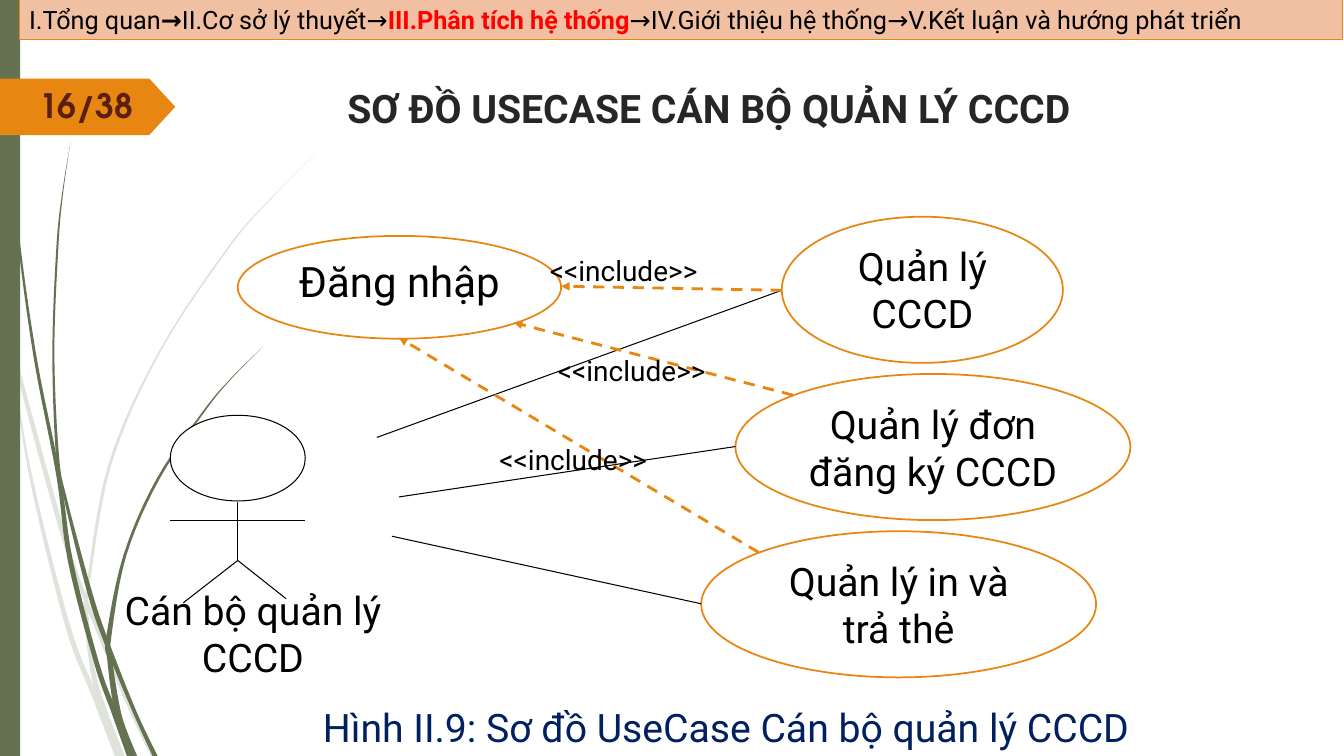
from lxml import etree
from pptx import Presentation
from pptx import util as u
from pptx.dml.color import RGBColor
from pptx.enum import dml, shapes, text
from pptx.oxml.ns import qn

BLACK, ORANGE, GREEN, PALE, WHITE = "000000", "E78712", "647252", "E0E3DC", "FFFFFF"
CENTER, LEFT = text.PP_ALIGN.CENTER, text.PP_ALIGN.LEFT
TOP, MIDDLE = text.MSO_ANCHOR.TOP, text.MSO_ANCHOR.MIDDLE
KIND = shapes.MSO_SHAPE


def cells(*lengths):
    """Turn grid units, one inch each, into slide lengths."""
    return [u.Inches(length) for length in lengths]


def write(box, spans, size, align=CENTER, anchor=TOP, font="Roboto", after=0):
    """Fill a box with one paragraph of (text, colour, bold) spans."""
    frame = box.text_frame
    frame.word_wrap = True
    frame.auto_size = text.MSO_AUTO_SIZE.NONE
    frame.vertical_anchor = anchor
    frame.margin_left, frame.margin_right, frame.margin_top, frame.margin_bottom = cells(
        0.1, 0.1, 0.05, 0.05)
    para = frame.paragraphs[0]
    para.alignment = align
    para.space_after = u.Pt(after)
    for words, color, bold in spans:
        span = para.add_run()
        span.text = words
        span.font.name, span.font.size, span.font.bold = font, u.Pt(size), bold
        span.font.color.rgb = RGBColor.from_string(color)


deck = Presentation()
deck.slide_width, deck.slide_height = cells(13.34, 7.5)
page = deck.slides.add_slide(deck.slide_layouts[5])

# Title
title = page.shapes.title
title.left, title.top, title.width, title.height = cells(2.16, 0.79, 9.75, 0.88)
write(title, [("SƠ ĐỒ USECASE CÁN BỘ QUẢN LÝ CCCD", "262626", True)], 28)

# Grass blades: centre line points with the blade's width at each
blades = [
    (PALE, [(0, 2.9, 0.03), (0.16, 3.6, 0.04), (0.6, 5.21, 0.05), (0.84, 5.92, 0.04),
            (1.25, 6.93, 0.04), (1.52, 7.5, 0.05)]),
    (PALE, [(0.11, 3.5, 0), (0.3, 4.7, 0.03), (0.67, 6.2, 0.05), (0.94, 6.9, 0.06),
            (1.19, 7.5, 0.1)]),
    (PALE, [(3.12, 1.53, 0), (2.68, 1.98, 0.01), (2.28, 2.44, 0.02), (1.59, 3.48, 0.02),
            (1.09, 4.61, 0.03), (0.87, 5.84, 0.03), (0.86, 6.08, 0.04), (0.89, 6.46, 0.04),
            (0.98, 6.9, 0.06), (1.19, 7.5, 0.1)]),
    (GREEN, [(0.03, 0, 0), (0.07, 1.1, 0.01), (0.18, 2.33, 0.02), (0.35, 3.55, 0.03),
             (0.58, 4.72, 0.04), (0.7, 5.57, 0.05), (0.96, 6.58, 0.05), (1.13, 7.05, 0.06),
             (1.31, 7.5, 0.1)]),
    (GREEN, [(0.7, 1.41, 0), (0.62, 1.93, 0.01), (0.57, 2.45, 0.02), (0.53, 3.49, 0.02),
             (0.57, 4.51, 0.03), (0.65, 4.95, 0.03), (0.9, 5.91, 0.05), (1.08, 6.43, 0.05),
             (1.34, 7.07, 0.04), (1.54, 7.5, 0.05)]),
    (GREEN, [(2.61, 3.44, 0), (2.31, 3.74, 0.01), (2.04, 4.06, 0.02), (1.57, 4.75, 0.03),
             (1.24, 5.51, 0.03), (1.08, 6.32, 0.05), (1.09, 6.54, 0.05), (1.14, 6.91, 0.06),
             (1.2, 7.17, 0.06), (1.33, 7.5, 0.06)]),
]
STEPS = 6
for color, knots in blades:
    padded = [knots[0], *knots, knots[-1]]
    middle = []
    for a, b, c, d in zip(padded, padded[1:], padded[2:], padded[3:]):
        for step in range(STEPS):
            t = step / STEPS
            middle.append([
                0.5 * (2 * q + (r - p) * t + (2 * p - 5 * q + 4 * r - s) * t ** 2
                       + (3 * q - p - 3 * r + s) * t ** 3)
                for p, q, r, s in zip(a, b, c, d)])
    middle.append(knots[-1])
    outline = [cells(x - w / 2, y) for x, y, w in middle]
    outline += [cells(x + w / 2, y) for x, y, w in reversed(middle)]
    pen = page.shapes.build_freeform(*outline[0])
    pen.add_line_segments(outline[1:], close=True)
    blade = pen.convert_to_shape()
    blade.shadow.inherit = False
    blade.fill.solid()
    blade.fill.fore_color.rgb = RGBColor.from_string(color)
    blade.line.fill.background()

# Side bar, page tag, breadcrumb, actor's head and use cases
breadcrumb = [
    ("I.Tổng quan", BLACK, False), ("→", BLACK, True), ("II.Cơ sở lý thuyết→", BLACK, False),
    ("III.Phân tích hệ thống", "FF0000", True),
    ("→IV.Giới thiệu hệ thống→V.Kết luận và hướng phát triển", BLACK, False)]
parts = [
    (KIND.RECTANGLE, (0, 0, 0.2, 7.5), GREEN, None, 0, None),
    (KIND.PENTAGON, (0, 0.78, 1.74, 0.56), ORANGE, None, 0, None),
    (KIND.RECTANGLE, (0.19, -0.01, 13.14, 0.4), "F1BFA2", ORANGE, 0.75,
     (breadcrumb, 18, LEFT, MIDDLE)),
    (KIND.OVAL, (1.69, 4.12, 1.34, 0.85), WHITE, BLACK, 0.75, None),
]
for words, size, anchor, spot in [
    ("Đăng nhập", 30, TOP, (2.36, 2.34, 3.21, 1.02)),
    ("Quản lý CCCD", 28, MIDDLE, (7.76, 2.15, 2.79, 1.45)),
    ("Quản lý đơn đăng ký CCCD", 28, MIDDLE, (7.3, 3.71, 3.92, 1.45)),
    ("Quản lý in và trả thẻ", 28, MIDDLE, (6.96, 5.27, 3.92, 1.45)),
]:
    label = ([(words, BLACK, False)], size, CENTER, anchor, "Roboto", 10)
    parts.append((KIND.OVAL, spot, WHITE, ORANGE, 1.25, label))
for kind, spot, fill, line, weight, label in parts:
    shape = page.shapes.add_shape(kind, *cells(*spot))
    shape.shadow.inherit = False
    shape.fill.solid()
    shape.fill.fore_color.rgb = RGBColor.from_string(fill)
    if kind == KIND.PENTAGON:
        shape.adjustments[0] = 0.46
    if line:
        shape.line.color.rgb = RGBColor.from_string(line)
        shape.line.width = u.Pt(weight)
    else:
        shape.line.fill.background()
    if label:
        write(shape, *label)

# Actor's body, associations and dashed include arrows
solid_lines = [
    (2.36, 4.98, 2.36, 5.56), (1.69, 5.16, 3.03, 5.16),
    (2.36, 5.56, 1.82, 5.98), (2.36, 5.56, 2.84, 5.94),
    (3.74, 4.34, 7.76, 2.88), (3.96, 4.93, 7.3, 4.43), (3.89, 5.32, 6.96, 5.99)]
include_arrows = [
    (7.76, 2.88, 5.57, 2.84), (7.87, 3.92, 5.1, 3.2), (7.53, 5.48, 3.96, 3.35)]
for ends in solid_lines + include_arrows:
    link = page.shapes.add_connector(shapes.MSO_CONNECTOR.STRAIGHT, *cells(*ends))
    is_arrow = ends in include_arrows
    link.line.color.rgb = RGBColor.from_string(ORANGE if is_arrow else BLACK)
    link.line.width = u.Pt(2 if is_arrow else 0.75)
    if is_arrow:
        link.line.dash_style = dml.MSO_LINE.DASH
        etree.SubElement(link.line._get_or_add_ln(), qn("a:tailEnd"), type="triangle")
    etree.SubElement(link._element.spPr, qn("a:effectLst"))

# Free text: page number, caption, actor's name and include labels
notes = [
    ("16/38", (0.29, 0.79, 1.2, 0.5), 24, "5B1E12", True, LEFT, "TeX Gyre Adventor"),
    ("Hình II.9: Sơ đồ UseCase Cán bộ quản lý CCCD", (2.52, 6.93, 9.37, 0.57), 28,
     "002060", False, CENTER, "Roboto"),
    ("Cán bộ quản lý CCCD", (0.91, 5.77, 3.2, 1.04), 28, BLACK, False, CENTER, "Roboto"),
]
for left, top in [(5.36, 2.47), (5.44, 3.46), (4.86, 4.34)]:
    notes.append(("<<include>>", (left, top, 1.9, 0.44), 20, BLACK, False, LEFT, "Roboto"))
for words, spot, size, color, bold, align, font in notes:
    box = page.shapes.add_textbox(*cells(*spot))
    write(box, [(words, color, bold)], size, align=align, font=font)

deck.save("out.pptx")
